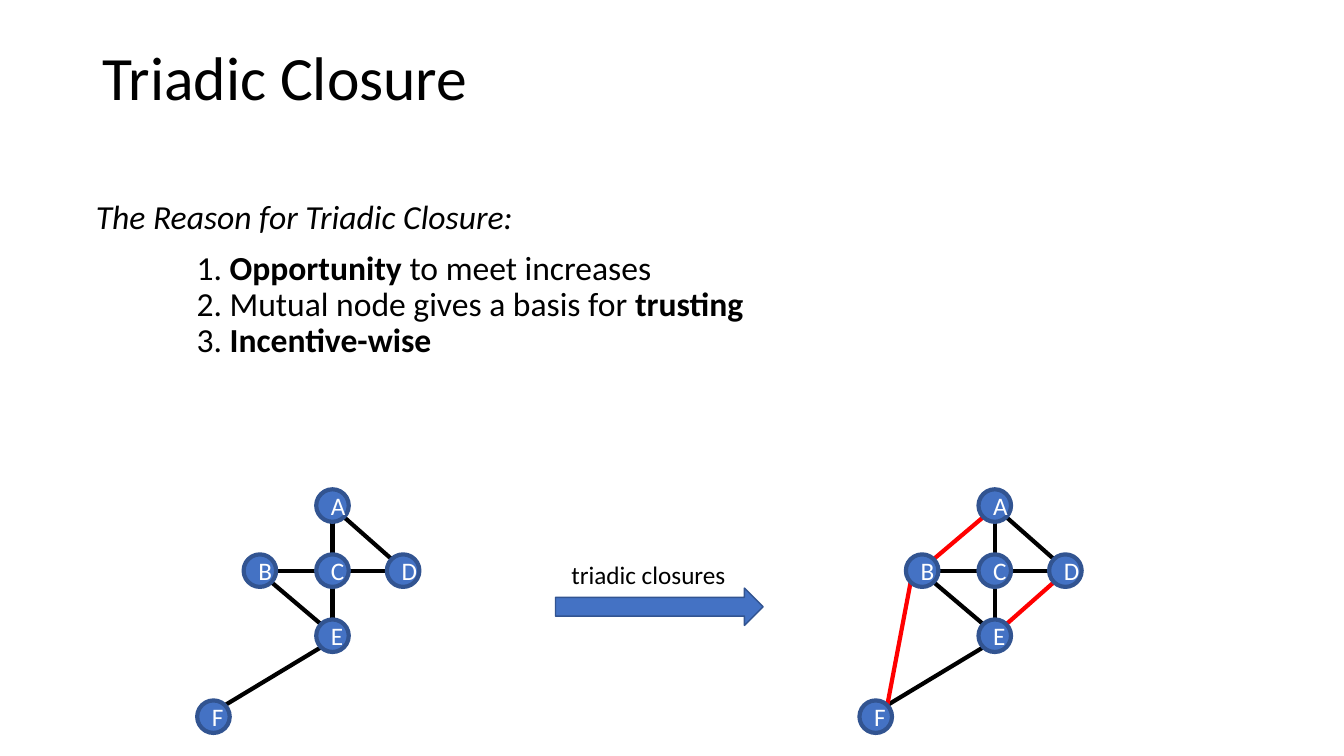
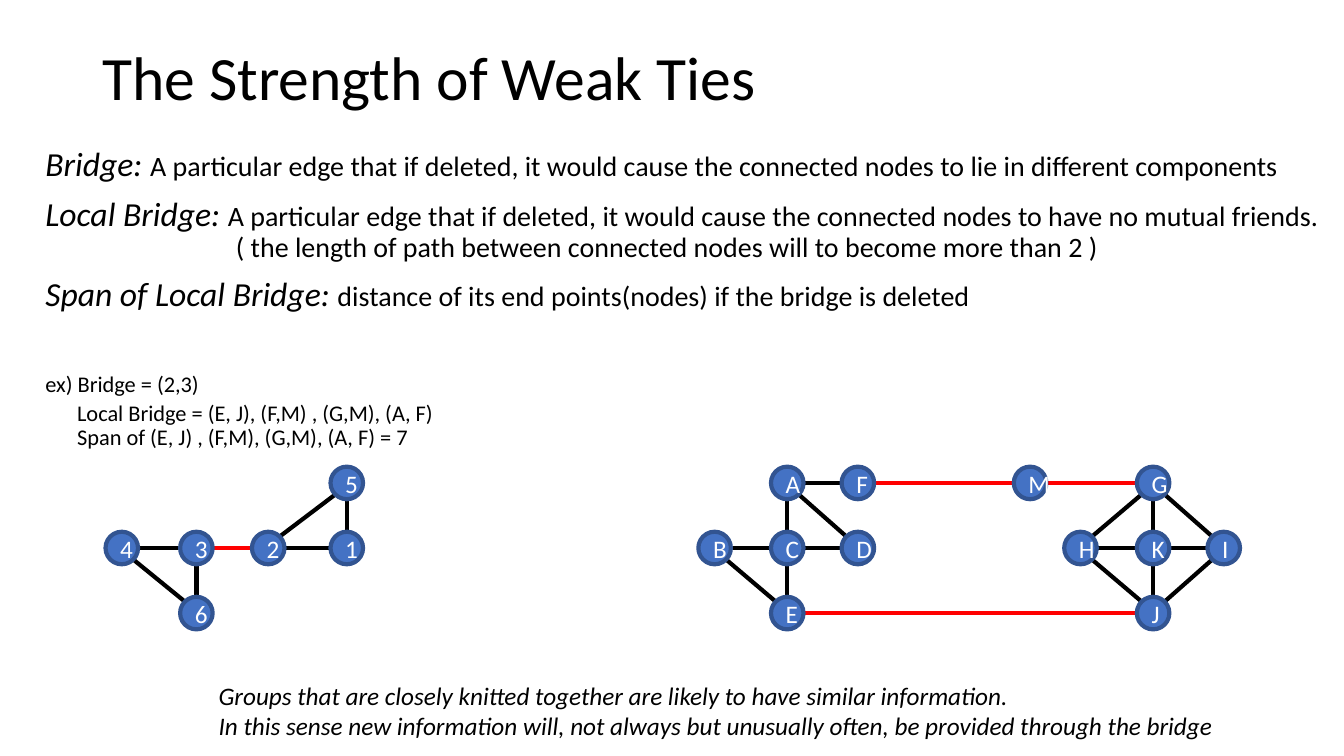
"""Build two slides on triadic closure and the strength of weak ties."""
from lxml import etree
from pptx import Presentation
from pptx.dml.color import RGBColor
from pptx.enum import shapes, text
from pptx.oxml import ns
from pptx.util import Cm, Pt

BLACK, WHITE, RED = "000000", "FFFFFF", "FF0000"
BLUE, NAVY = "4472C4", "325491"
RADIUS = 0.41
STEP = 1.64
DIAMOND = [(0, -STEP), (-1.83, 0), (0, 0), (1.78, 0), (0, STEP)]
paint = RGBColor.from_string


def write(frame, lines, line_spacing=0.9):
    """Fill a text frame with (indent, space before, spans) lines."""
    for number, (indent, space, spans) in enumerate(lines):
        para = frame.paragraphs[0] if number == 0 else frame.add_paragraph()
        properties = para._p.get_or_add_pPr()
        properties.set("marL", str(Cm(indent)))
        properties.set("indent", "0")
        etree.SubElement(properties, ns.qn("a:buNone"))
        layout_values = {"line_spacing": line_spacing, "space_before": Pt(space),
                         "alignment": text.PP_ALIGN.LEFT}
        for name, value in layout_values.items():
            setattr(para, name, value)
        for words, size, style in spans:
            span = para.add_run()
            span.text = words
            font_values = {"name": "Calibri", "size": Pt(size),
                           "bold": style == "bold", "italic": style == "italic"}
            for name, value in font_values.items():
                setattr(span.font, name, value)
            span.font.color.rgb = paint(BLACK)


def draw_graph(page, origin, nodes, edges):
    """Draw lettered nodes and the edges between them around an origin."""
    centres = {name: (origin[0] + x, origin[1] + y) for name, (x, y) in nodes.items()}
    for color, pairs in edges.items():
        for start, end in pairs.split():
            (x1, y1), (x2, y2) = centres[start], centres[end]
            across = (x2 > x1) - (x2 < x1)
            down = (y2 > y1) - (y2 < y1)
            reach = RADIUS * (0.71 if across and down else 1)
            edge = page.shapes.add_connector(
                shapes.MSO_CONNECTOR.STRAIGHT,
                Cm(x1 + across * reach), Cm(y1 + down * reach),
                Cm(x2 - across * reach), Cm(y2 - down * reach))
            edge.line.color.rgb = paint(color)
            edge.line.width = Pt(3)
            etree.SubElement(edge._element.spPr, ns.qn("a:effectLst"))
    for name, (x, y) in centres.items():
        node = page.shapes.add_shape(shapes.MSO_SHAPE.OVAL, Cm(x - RADIUS), Cm(y - RADIUS),
                                     Cm(2 * RADIUS), Cm(2 * RADIUS))
        node.shadow.inherit = False
        node.fill.solid()
        node.fill.fore_color.rgb = paint(BLUE)
        node.line.color.rgb = paint(NAVY)
        node.line.width = Pt(3)
        para = node.text_frame.paragraphs[0]
        para.text = name
        para.alignment = text.PP_ALIGN.CENTER
        para.font.name = "Calibri"
        span = para.runs[0]
        span.font.name = "Calibri"
        span.font.size = Pt(18)
        span.font.color.rgb = paint(WHITE)


deck = Presentation()
deck.slide_width, deck.slide_height = Cm(33.87), Cm(19.05)
layout = deck.slide_layouts[1]
title_place = {"left": Cm(2.33), "top": Cm(0.18), "width": Cm(29.21), "height": Cm(3.68)}
for name, value in title_place.items():
    setattr(layout.placeholders[0], name, value)

reasons = [
    (0, 0, [("The Reason for Triadic Closure:", 24, "italic")]),
    (2.54, 10, [("1. ", 24, ""), ("Opportunity", 24, "bold"), (" to meet increases", 24, "")]),
    (2.54, 0, [("2. Mutual node gives a basis for ", 24, ""), ("trusting", 24, "bold")]),
    (2.54, 0, [("3. ", 24, ""), ("Incentive-wise", 24, "bold")]),
]
definitions = [
    (0, 0, [("Bridge: ", 24, "italic"),
            ("A particular edge that if deleted, it would cause the connected nodes "
             "to lie in different components", 20, "")]),
    (0, 10, [("Local Bridge: ", 24, "italic"),
             ("A particular edge that if deleted, it would cause the connected nodes "
              "to have no mutual friends.", 20, "")]),
    (4.8, 0, [("( the length of path between connected nodes will to become more than 2 )",
               20, "")]),
    (0, 10, [("Span of Local Bridge: ", 24, "italic"),
             ("distance of its end points(nodes) if the bridge is deleted", 20, "")]),
    (0, 42, [("ex) Bridge = (2,3)", 16, "")]),
    (0.8, 3.5, [("Local Bridge = (E, J), (F,M) , (G,M), (A, F)", 16, "")]),
    (0.8, 0, [("Span of (E, J) , (F,M), (G,M), (A, F) = 7", 16, "")]),
]
contents = [
    ("Triadic Closure", reasons, (2.16, 4.93, 17.7, 5.3)),
    ("The Strength of Weak Ties", definitions, (0.89, 3.58, 32.95, 8.4)),
]
pages = []
for heading, lines, place in contents:
    page = deck.slides.add_slide(layout)
    write(page.shapes.title.text_frame, [(0, 0, [(heading, 44, "")])])
    body = page.placeholders[1]
    for name, value in zip(("left", "top", "width", "height"), place):
        setattr(body, name, Cm(value))
    body.text_frame.auto_size = text.MSO_AUTO_SIZE.NONE
    write(body.text_frame, lines)
    pages.append(page)
closure_page, ties_page = pages

friends = dict(zip("ABCDE", DIAMOND))
friend_edges = "AC CE BC CD BE AD"
closure_nodes = {**friends, "F": (-3, 3.68)}
for left, closed in ((8.38, ""), (25.07, "AB DE BF")):
    draw_graph(closure_page, (left, 14.38), closure_nodes,
               {BLACK: friend_edges + " EF", RED: closed})

arrow = closure_page.shapes.add_shape(shapes.MSO_SHAPE.RIGHT_ARROW,
                                      Cm(14), Cm(14.82), Cm(5.23), Cm(0.94))
arrow.shadow.inherit = False
arrow.fill.solid()
arrow.fill.fore_color.rgb = paint(BLUE)
arrow.line.color.rgb = paint(NAVY)
arrow.line.width = Pt(1)

far_friends = {name: (x + 9.22, y) for name, (x, y) in zip("GHKIJ", DIAMOND)}
draw_graph(ties_page, (19.84, 13.81),
           {**friends, "F": (1.78, -STEP), "M": (6.12, -STEP), **far_friends},
           {BLACK: friend_edges + " AF GK KJ HK KI HJ GI GH IJ", RED: "EJ FM MG"})
draw_graph(ties_page, (4.95, 13.81),
           {"4": (-1.88, 0), "3": (0, 0), "6": (0, STEP),
            "2": (1.81, 0), "1": (3.79, 0), "5": (3.79, -STEP)},
           {BLACK: "43 46 36 21 25 15", RED: "32"})

notes = [
    (closure_page, (14.15, 13.97, 4.6, 1.02), "", ["triadic closures"]),
    (ties_page, (5.26, 17.02, 26.2, 1.8), "italic",
     ["Groups that are closely knitted together are likely to have similar information.",
      "In this sense new information will, not always but unusually often, "
      "be provided through the bridge"]),
]
for page, place, style, sentences in notes:
    box = page.shapes.add_textbox(*map(Cm, place))
    box.text_frame.word_wrap = True
    write(box.text_frame, [(0, 0, [(words, 18, style)]) for words in sentences], 1)

deck.save("out.pptx")
